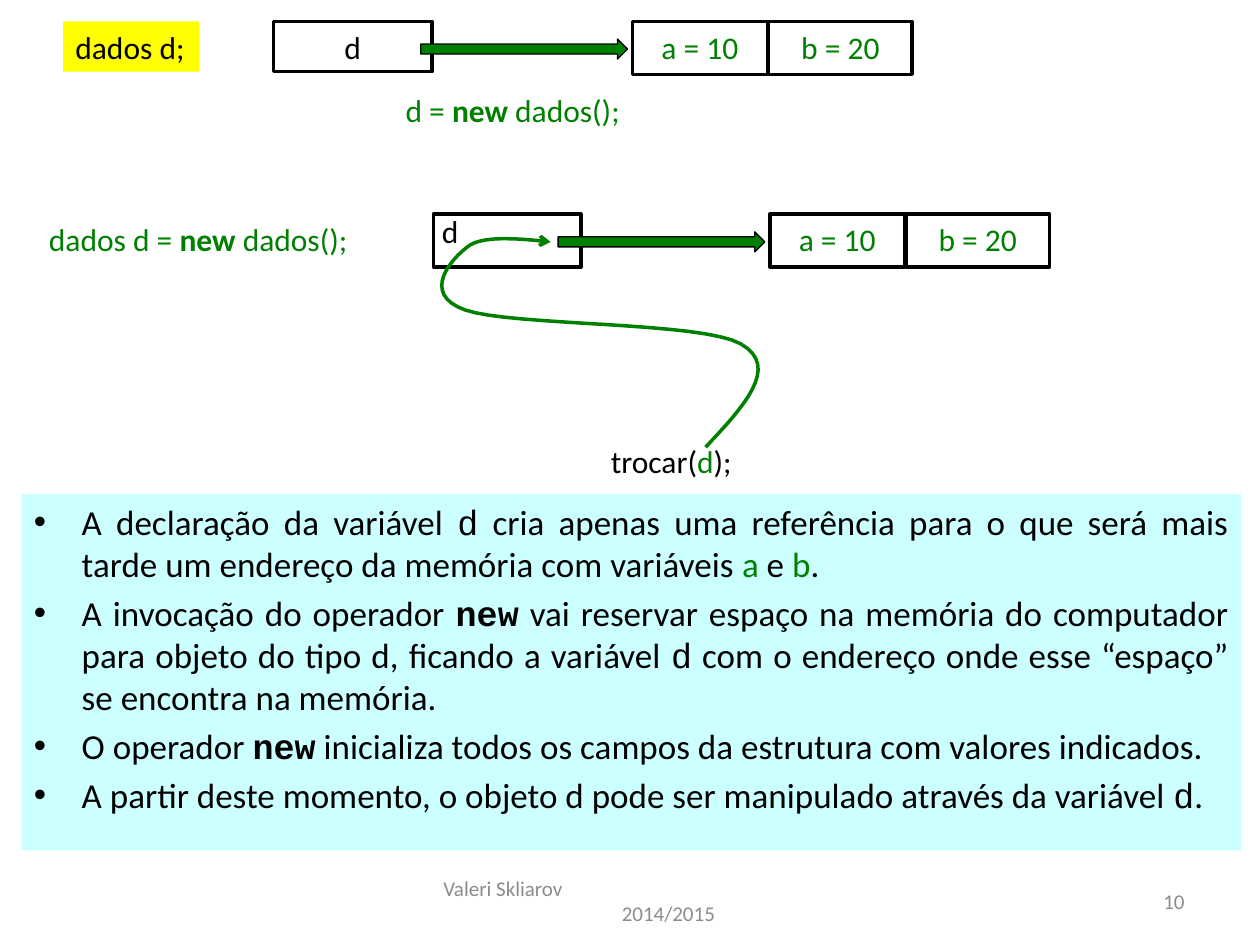
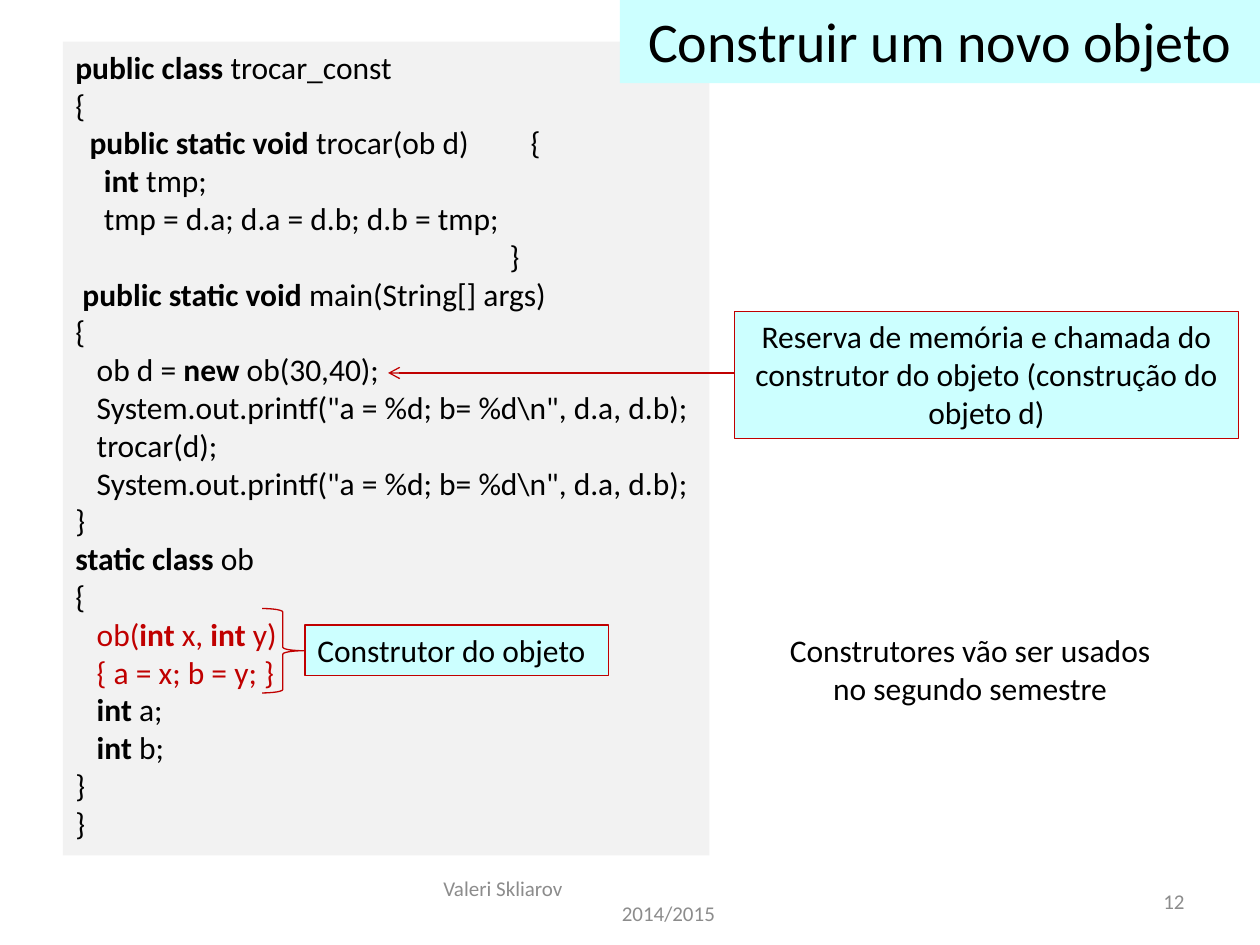
from dataclasses import dataclass

from lxml import etree
from pptx import Presentation
from pptx import util as u
from pptx.dml.color import RGBColor
from pptx.enum import shapes, text
from pptx.oxml import ns

Inches, Pt = u.Inches, u.Pt
ALIGN, ANCHOR, SHAPE = text.PP_ALIGN, text.MSO_ANCHOR, shapes.MSO_SHAPE


@dataclass(frozen=True)
class Theme:
    """Colours, fonts and type sizes shared by the slides."""
    black: str = "000000"
    green: str = "008000"
    red: str = "C00000"
    yellow: str = "FFFF00"
    cyan: str = "CCFFFF"
    panel: str = "F2F2F2"
    grey: str = "8C8C8C"
    body_font: str = "Calibri"
    code_font: str = "Courier New"
    title: int = 32
    bullet: int = 20
    body: int = 18
    footer: int = 12
    thick: float = 2
    thin: float = 0.75
    space: float = 0.0565  # width of one space at body size, in inches


THEME = Theme()

BULLETS = [
    "A declaração da variável `d` cria apenas uma referência para o que será "
    "mais tarde um endereço da memória com variáveis ~a~ e ~b~.",
    "A invocação do operador `*new*` vai reservar espaço na memória do computador "
    "para objeto do tipo d, ficando a variável `d` com o endereço onde esse "
    "“espaço” se encontra na memória.",
    "O operador `*new*` inicializa todos os campos da estrutura com valores indicados.",
    "A partir deste momento, o objeto d pode ser manipulado através da variável `d`.",
]

BRACE_TAB = 3.45
# Each code line: indent in spaces, marked text, colour
CODE = [
    (0, "*public class *trocar_const", THEME.black),
    (0, "{", THEME.black),
    (2, "*public static void *trocar(ob d)\t{", THEME.black),
    (4, "*int *tmp;", THEME.black),
    (4, "tmp = d.a; d.a = d.b; d.b = tmp;", THEME.black),
    (61, "}", THEME.black),
    (1, "*public static void *main(String[] args)", THEME.black),
    (0, "{", THEME.black),
    (3, "ob d = *new *ob(30,40);", THEME.black),
    (3, r'System.out.printf("a = %d; b= %d\n", d.a, d.b);', THEME.black),
    (3, "trocar(d);", THEME.black),
    (3, r'System.out.printf("a = %d; b= %d\n", d.a, d.b);', THEME.black),
    (0, "}", THEME.black),
    (0, "*static class *ob", THEME.black),
    (0, "{", THEME.black),
    (3, "ob(*int* x, *int* y)", THEME.red),
    (3, "{ a = x; b = y; }", THEME.red),
    (3, "*int* a;", THEME.black),
    (3, "*int* b;", THEME.black),
    (0, "}", THEME.black),
    (0, "}", THEME.black),
]

# Curve from the call argument to the variable: start, then cubic segments
CURVE_START = (5.6, 3.55)
CURVE = [
    ((5.9, 3.23), (6.2, 2.91), (5.88, 2.73)),
    ((5.57, 2.55), (4.06, 2.59), (3.69, 2.46)),
    ((3.33, 2.33), (3.59, 2.05), (3.71, 1.96)),
    ((3.82, 1.87), (4.09, 1.89), (4.37, 1.92)),
]


def apply(target, values):
    """Set every attribute named in a dict of format values."""
    for name, value in values.items():
        setattr(target, name, value)


def add_xml(parent, tag, **attributes):
    """Append a DrawingML element and return it."""
    return etree.SubElement(parent, ns.qn(tag), attributes)


def style_line(line, color, width):
    """Give a line its colour and width in points."""
    line.color.rgb = RGBColor.from_string(color)
    line.width = Pt(width)


def add_arrowhead(line):
    """Put an open arrowhead at the end of a line."""
    add_xml(line._get_or_add_ln(), "a:tailEnd", type="arrow")


def style_shape(shape, fill=None, line=None, width=THEME.thin):
    """Set fill and outline of a shape, without shadow."""
    shape.shadow.inherit = False
    if fill:
        shape.fill.solid()
        shape.fill.fore_color.rgb = RGBColor.from_string(fill)
    else:
        shape.fill.background()
    if line:
        style_line(shape.line, line, width)
    else:
        shape.line.fill.background()


def add_shape(slide, kind, at, **style):
    """Add a preset shape at left, top, width, height in inches."""
    shape = slide.shapes.add_shape(kind, *map(Inches, at))
    style_shape(shape, **style)
    return shape


def write(paragraph, marked, size=THEME.body, color=THEME.black):
    """Write marked text: * toggles bold, ~ green and ` the code font."""
    active, pending = set(), ""
    for character in marked + "*":
        if character not in "*~`":
            pending += character
            continue
        if pending:
            run = paragraph.add_run()
            run.text = pending
            apply(run.font, {
                "name": THEME.code_font if "`" in active else THEME.body_font,
                "size": Pt(size),
                "bold": "*" in active,
            })
            run.font.color.rgb = RGBColor.from_string(
                THEME.green if "~" in active else color)
        active ^= {character}
        pending = ""


def new_paragraph(frame, index, align=ALIGN.LEFT, **values):
    """Return the first paragraph of a frame, or a further one, formatted."""
    paragraph = frame.add_paragraph() if index else frame.paragraphs[0]
    apply(paragraph, {"alignment": align, **values})
    return paragraph


def indent(paragraph, margin, first=0):
    """Set left margin and first-line indent in inches."""
    properties = paragraph._p.get_or_add_pPr()
    properties.set("marL", str(Inches(margin)))
    properties.set("indent", str(Inches(first)))
    return properties


def add_frame(slide, at, wrap=True, anchor=ANCHOR.TOP, **style):
    """Add a box, plain or with fill and outline, and return its text frame."""
    if style:
        shape = add_shape(slide, SHAPE.RECTANGLE, at, **style)
    else:
        shape = slide.shapes.add_textbox(*map(Inches, at))
    apply(shape.text_frame, {"word_wrap": wrap, "vertical_anchor": anchor})
    return shape.text_frame


def add_label(slide, at, marked, align=ALIGN.LEFT, size=THEME.body,
              color=THEME.black, **style):
    """Add a box that holds one paragraph."""
    frame = add_frame(slide, at, **style)
    write(new_paragraph(frame, 0, align), marked, size, color)


def add_footer(slide, number):
    """Add author, school year and slide number."""
    frame = add_frame(slide, (3.42, 6.95, 3.17, 0.4), anchor=ANCHOR.MIDDLE)
    write(new_paragraph(frame, 0), "Valeri Skliarov", THEME.footer, THEME.grey)
    year = new_paragraph(frame, 1, ALIGN.CENTER)
    indent(year, 0.6)
    write(year, "2014/2015", THEME.footer, THEME.grey)
    add_label(slide, (7.17, 6.95, 2.33, 0.4), str(number), ALIGN.RIGHT,
              THEME.footer, THEME.grey, anchor=ANCHOR.MIDDLE)


def add_object(slide, left, top):
    """Draw the reference arrow and the two fields it points to."""
    for offset, width, field in ((1.68, 1.07, "a = 10"), (2.76, 1.14, "b = 20")):
        add_label(slide, (left + offset, top, width, 0.42), field, ALIGN.CENTER,
                  color=THEME.green, line=THEME.black, width=THEME.thick)
    add_shape(slide, SHAPE.RIGHT_ARROW, (left, top + 0.14, 1.64, 0.16),
              fill=THEME.green, line=THEME.black)


def add_curve(slide, start, segments, steps=16):
    """Draw cubic segments as one smooth outline with an arrowhead."""
    points, origin = [], start
    for segment in segments:
        for step in range(1, steps + 1):
            t = step / steps
            weights = ((1 - t) ** 3, 3 * t * (1 - t) ** 2, 3 * t * t * (1 - t), t ** 3)
            controls = (origin, *segment)
            points.append(tuple(
                Inches(sum(w * control[axis] for w, control in zip(weights, controls)))
                for axis in (0, 1)))
        origin = segment[-1]
    builder = slide.shapes.build_freeform(*map(Inches, start))
    builder.add_line_segments(points, close=False)
    curve = builder.convert_to_shape()
    style_shape(curve, line=THEME.green, width=THEME.thick)
    add_arrowhead(curve.line)


def add_arrow(slide, start, end):
    """Draw a thin red arrow between two points."""
    arrow = slide.shapes.add_connector(
        shapes.MSO_CONNECTOR.STRAIGHT, *map(Inches, (*start, *end)))
    style_line(arrow.line, THEME.red, THEME.thin)
    add_arrowhead(arrow.line)
    add_xml(arrow._element.spPr, "a:effectLst")


def add_bullets(slide, at, items):
    """Add the panel of justified bullets."""
    frame = add_frame(slide, at, fill=THEME.cyan)
    for index, item in enumerate(items):
        paragraph = new_paragraph(frame, index, ALIGN.JUSTIFY,
                                  space_before=Pt(THEME.bullet * 0.2))
        properties = indent(paragraph, 0.38, -0.38)
        add_xml(properties, "a:buFont", typeface="Arial")
        add_xml(properties, "a:buChar", char="•")
        write(paragraph, item, THEME.bullet)


def add_code(slide, at, lines):
    """Add the code panel, one paragraph a line."""
    frame = add_frame(slide, at, fill=THEME.panel)
    for index, (spaces, marked, color) in enumerate(lines):
        paragraph = new_paragraph(frame, index)
        properties = indent(paragraph, spaces * THEME.space)
        if "\t" in marked:
            tabs = add_xml(properties, "a:tabLst")
            add_xml(tabs, "a:tab", pos=str(Inches(BRACE_TAB)), algn="l")
        write(paragraph, marked, color=color)


def build_reference_slide(slide):
    """Show how a variable refers to an object in memory."""
    add_footer(slide, 10)
    outline = {"line": THEME.black, "width": THEME.thick}
    add_label(slide, (0.5, 0.17, 1.08, 0.4), "dados d;", wrap=False, fill=THEME.yellow)
    add_label(slide, (2.17, 0.17, 1.26, 0.4), "d", ALIGN.CENTER, **outline)
    add_object(slide, 3.34, 0.17)
    add_label(slide, (3.12, 0.67, 1.92, 0.4), "d = *new* dados();",
              color=THEME.green, wrap=False)

    add_label(slide, (0.29, 1.7, 2.6, 0.4), "dados d = *new* dados();",
              color=THEME.green, wrap=False)
    add_shape(slide, SHAPE.RECTANGLE, (3.44, 1.7, 1.17, 0.42), **outline)
    add_label(slide, (3.41, 1.63, 0.34, 0.4), "d", wrap=False)
    add_object(slide, 4.43, 1.7)
    add_label(slide, (4.75, 3.46, 1.17, 0.4), "trocar(~d~);", wrap=False)
    add_curve(slide, CURVE_START, CURVE)
    add_bullets(slide, (0.17, 3.92, 9.68, 2.83), BULLETS)


def build_constructor_slide(slide):
    """Show the code that builds a new object, with callouts."""
    add_footer(slide, 12)
    callout = {"fill": THEME.cyan, "line": THEME.red}
    add_code(slide, (0.5, 0.33, 5.13, 6.46), CODE)
    add_label(slide, (4.92, 0, 5.08, 0.66), "Construir um novo objeto",
              ALIGN.CENTER, THEME.title, fill=THEME.cyan)
    add_shape(slide, SHAPE.RIGHT_BRACE, (2.08, 4.83, 0.33, 0.67), line=THEME.red)
    add_label(slide, (2.42, 4.96, 2.41, 0.4), "Construtor do objeto", **callout)
    add_arrow(slide, (5.83, 2.96), (3.08, 2.96))
    add_label(slide, (5.83, 2.47, 4, 1.01),
              "Reserva de memória e chamada do construtor do objeto "
              "(construção do objeto d)", ALIGN.CENTER, **callout)
    add_label(slide, (6.08, 4.96, 3.24, 0.71),
              "Construtores vão ser usados no segundo semestre", ALIGN.CENTER)


def main():
    """Build and save the presentation."""
    presentation = Presentation()
    apply(presentation, {"slide_width": Inches(10), "slide_height": Inches(7.5)})
    for build in (build_reference_slide, build_constructor_slide):
        build(presentation.slides.add_slide(presentation.slide_layouts[6]))
    presentation.save("out.pptx")


main()
